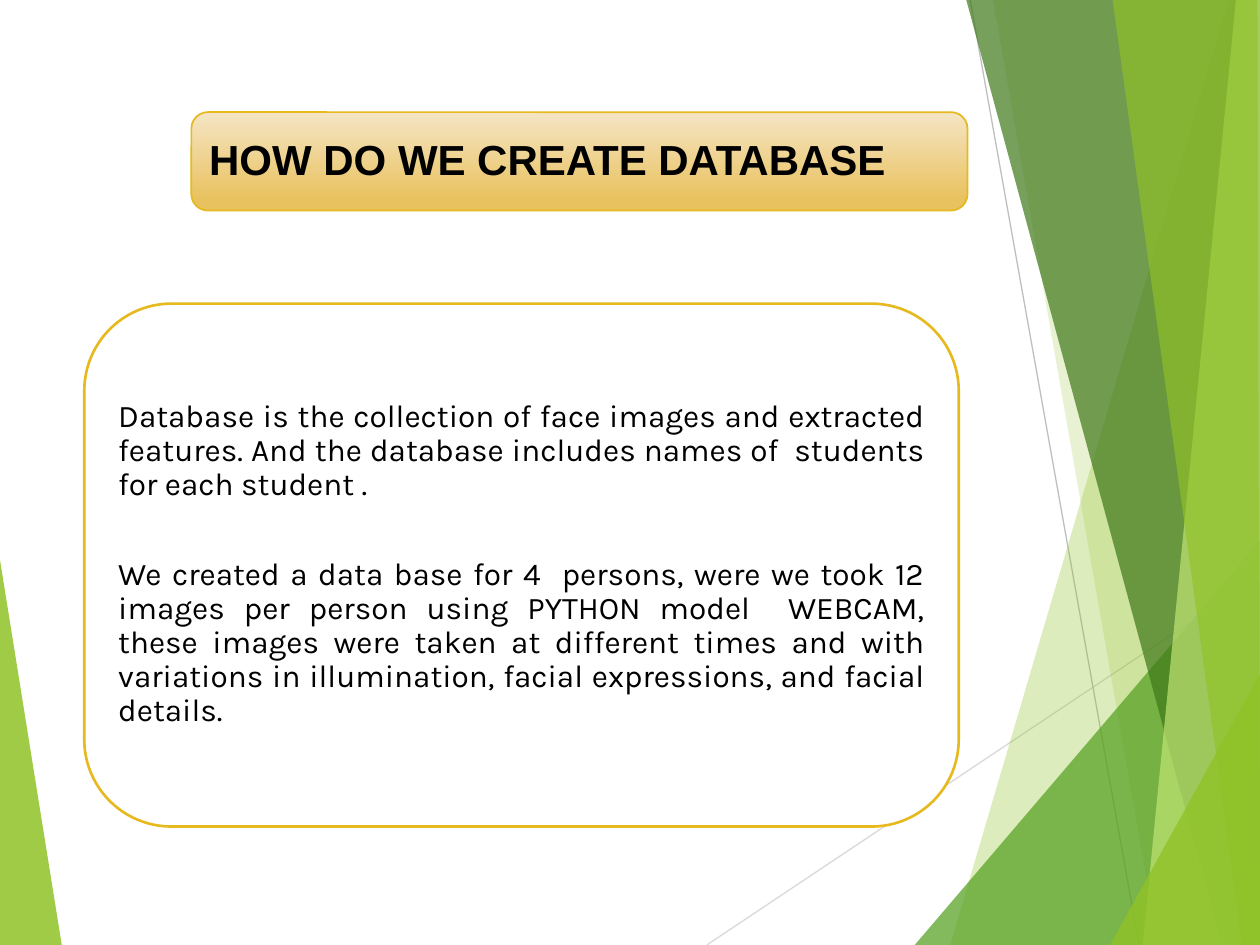
from lxml import etree
from pptx import Presentation
from pptx.dml.color import RGBColor
from pptx.enum.shapes import MSO_CONNECTOR, MSO_SHAPE
from pptx.enum.text import MSO_ANCHOR, PP_ALIGN
from pptx.oxml.ns import qn
from pptx.util import Pt

ROUNDED = MSO_SHAPE.ROUNDED_RECTANGLE
STRAIGHT = MSO_CONNECTOR.STRAIGHT
MIDDLE = MSO_ANCHOR.MIDDLE
LEFT, JUSTIFY = PP_ALIGN.LEFT, PP_ALIGN.JUSTIFY

W, H = 720, 540
TITLE = "HOW DO WE CREATE DATABASE"
BODY = [
    "Database is the collection of face images and extracted features. And the "
    "database includes names of  students for each student .",
    "We created a data base for 4  persons, were we took 12 images per person "
    "using PYTHON model  WEBCAM, these images were taken at different times and "
    "with variations in illumination, facial expressions, and facial details.",
]
GOLD = "E6B91E"
TITLE_BOX = (109.4, 64.1, 443.5, 56.2)
TITLE_TEXT = (112.3, 67, 438.5, 51.1)
BODY_BOX = (48.2, 173.5, 499.7, 298.8)
BODY_TEXT = (62.6, 187.9, 470.9, 269.3)

# start, end, colour
LINES = [
    ((403.9, H), (W, 329), "D9D9D9"),
    ((554.4, 0), (650.9, H), "BFBFBF"),
]
# corners, colour, opacity in percent
LEFT_FACET = ([(0, 320), (35.3, H), (0, H)], "90C226", 85)
RIGHT_FACETS = [
    ([(702, 0), (543, H), (W, H), (W, 0)], "90C226", 30),
    ([(567.4, 0), (661.7, H), (W, H), (W, 0)], "90C226", 20),
    ([(522.7, H), (W, 309), (W, H)], "54A021", 72),
    ([(552.2, 0), (698.4, H), (W, H), (W, 0)], "3F7819", 70),
    ([(706.3, 0), (653, H), (W, H), (W, 0)], "C0E474", 70),
    ([(635.8, 0), (709.9, H), (W, H), (718.6, 0)], "90C226", 65),
    ([(634.3, H), (W, 385.2), (W, H)], "90C226", 80),
]


def rgb(value):
    return RGBColor.from_string(value)


def add_facet(shapes, corners, color, opacity):
    builder = shapes.build_freeform(Pt(corners[0][0]), Pt(corners[0][1]))
    builder.add_line_segments([(Pt(x), Pt(y)) for x, y in corners[1:]])
    sp = builder.convert_to_shape()
    sp.shadow.inherit = False
    sp.line.fill.background()
    sp.fill.solid()
    sp.fill.fore_color.rgb = rgb(color)
    clr = sp.fill._xPr.find(".//" + qn("a:srgbClr"))
    etree.SubElement(clr, qn("a:alpha"), val=str(opacity * 1000))


def add_line(shapes, start, end, color):
    line = shapes.add_connector(STRAIGHT, *map(Pt, start + end))
    line.line.color.rgb = rgb(color)
    line.line.width = Pt(0.75)
    etree.SubElement(line._element.spPr, qn("a:effectLst"))


def add_box(shapes, place, line_width):
    sp = shapes.add_shape(ROUNDED, *map(Pt, place))
    sp.shadow.inherit = False
    sp.line.color.rgb = rgb(GOLD)
    sp.line.width = Pt(line_width)
    return sp


def write(sp, paragraphs, inset, font, size, bold, align):
    tf = sp.text_frame
    tf.word_wrap = True
    tf.vertical_anchor = MIDDLE
    tf.margin_left = tf.margin_right = Pt(inset)
    tf.margin_top = tf.margin_bottom = Pt(inset)
    for i, text in enumerate(paragraphs):
        p = tf.add_paragraph() if i else tf.paragraphs[0]
        p.text = text
        p.alignment = align
        p.line_spacing = 0.9
        if i:
            p.space_before = Pt(32)
        r = p.runs[0]
        r.font.name = font
        r.font.size = Pt(size)
        r.font.bold = bold
        r.font.color.rgb = rgb("000000")


prs = Presentation()
prs.slide_width, prs.slide_height = Pt(W), Pt(H)
slide = prs.slides.add_slide(prs.slide_layouts[5])
shapes = slide.shapes

add_facet(shapes, *LEFT_FACET)
for line in LINES:
    add_line(shapes, *line)
for facet in RIGHT_FACETS:
    add_facet(shapes, *facet)

title_box = add_box(shapes, TITLE_BOX, 1)
title_box.fill.gradient()
title_box.fill.gradient_angle = 270
stops = title_box.fill.gradient_stops
for stop, (position, color) in zip(stops, [(0, "F5E5C5"), (0.88, "E9C260")]):
    stop.position = position
    stop.color.rgb = rgb(color)

title = shapes.title
title.left, title.top, title.width, title.height = map(Pt, TITLE_TEXT)
write(title, [TITLE], 7.2, "Arial", 24, True, LEFT)
title_box._element.addnext(title._element)  # bring the title above its box

body_box = add_box(shapes, BODY_BOX, 1.5)
body_box.fill.solid()
body_box.fill.fore_color.rgb = rgb("FFFFFF")
body = shapes.add_textbox(*map(Pt, BODY_TEXT))
write(body, BODY, 5, "Karla", 18, False, JUSTIFY)

prs.save("out.pptx")
